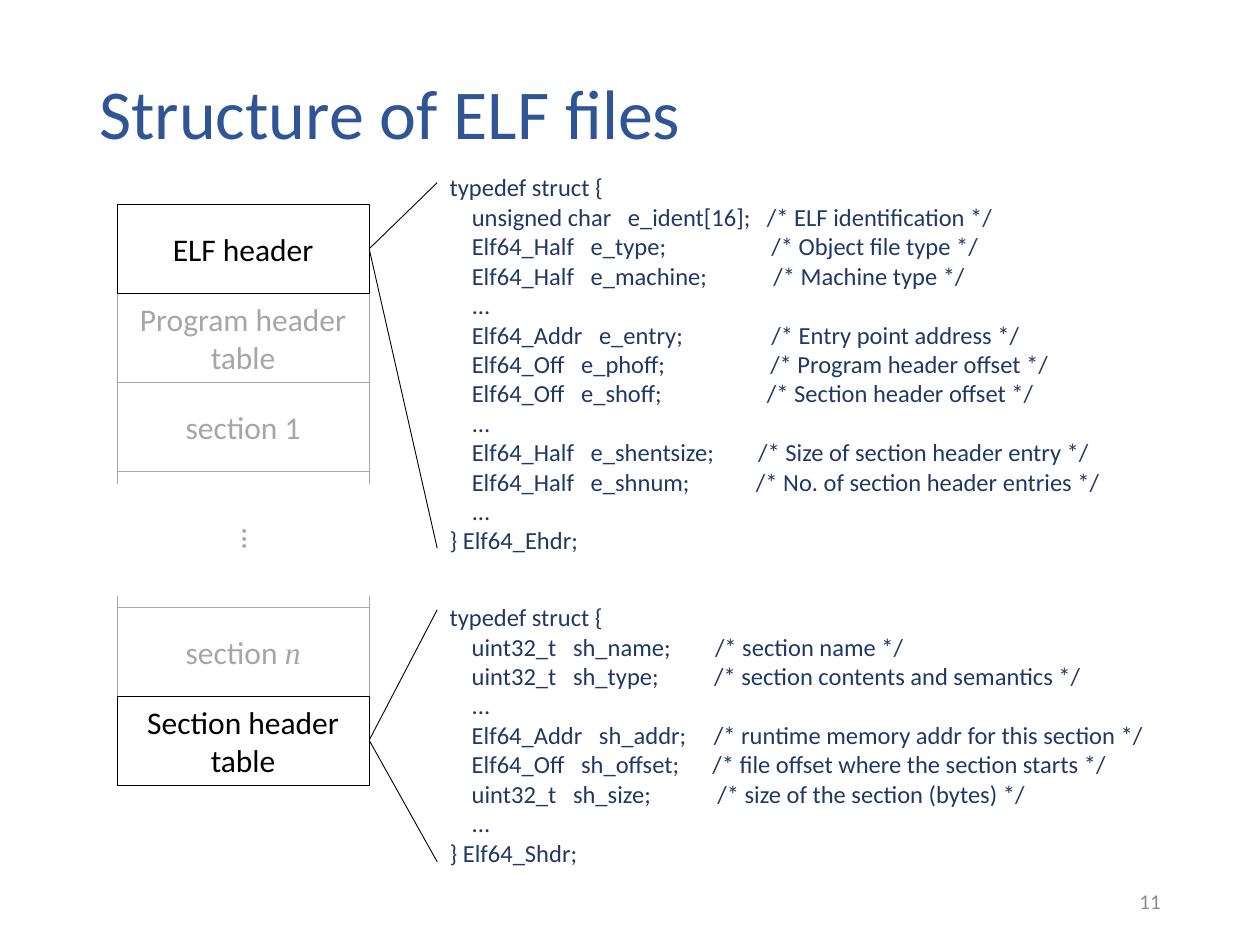
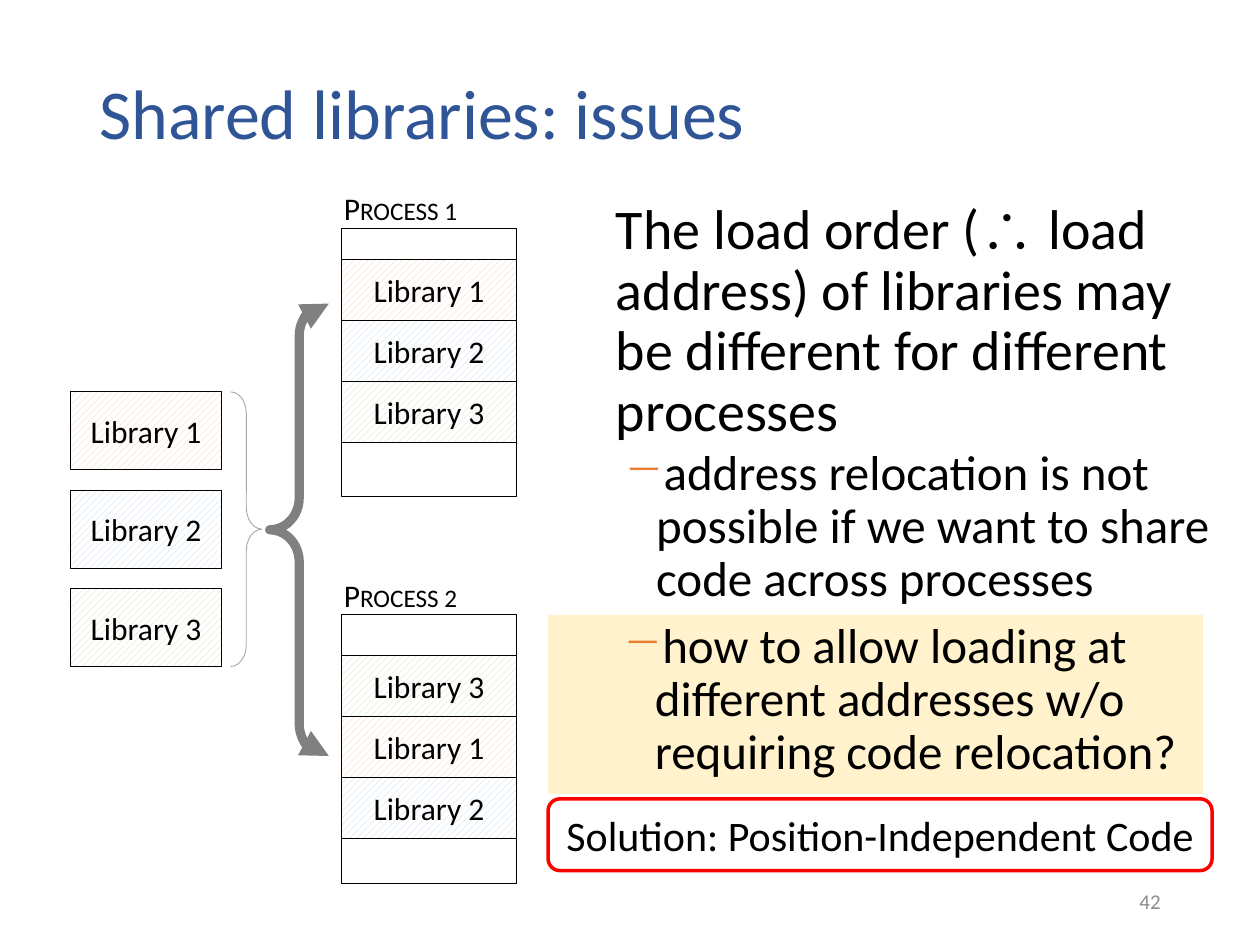
"""Build two slides on ELF file structure and shared library issues."""
from dataclasses import dataclass

from lxml import etree
from pptx import Presentation
from pptx.dml.color import RGBColor
from pptx.enum.dml import MSO_PATTERN
from pptx.enum.shapes import MSO_CONNECTOR, MSO_SHAPE
from pptx.enum.text import MSO_ANCHOR, MSO_AUTO_SIZE, PP_ALIGN
from pptx.oxml.ns import qn
from pptx.util import Emu, Pt

RECT, ROUND = MSO_SHAPE.RECTANGLE, MSO_SHAPE.ROUNDED_RECTANGLE
LEFT_BRACE, RIGHT_BRACE = MSO_SHAPE.LEFT_BRACE, MSO_SHAPE.RIGHT_BRACE
STRAIGHT = MSO_CONNECTOR.STRAIGHT
HATCH = MSO_PATTERN.WIDE_UPWARD_DIAGONAL
TOP, MIDDLE = MSO_ANCHOR.TOP, MSO_ANCHOR.MIDDLE
LEFT, CENTER, RIGHT = PP_ALIGN.LEFT, PP_ALIGN.CENTER, PP_ALIGN.RIGHT
GROW = MSO_AUTO_SIZE.SHAPE_TO_FIT_TEXT
SCALE = 4572


@dataclass(frozen=True)
class Theme:
    """Colours, fonts and type sizes of both slides."""
    face: str = "Calibri"
    serif: str = "Times New Roman"
    math: str = "Cambria"
    title: str = "2F5597"
    code: str = "203864"
    ink: str = "000000"
    dim: str = "A6A6A6"
    foot: str = "8C8C8C"
    arrow: str = "808080"
    dash: str = "ED7D31"
    cream: str = "FFF2CC"
    alert: str = "FF0000"
    libs: tuple = ("F8CBAD", "BDD7EE", "C5E0B4")
    title_pt: int = 40
    body_pt: int = 32
    point_pt: int = 28
    note_pt: int = 24
    label_pt: int = 18
    code_pt: int = 14
    foot_pt: int = 12
    hair: float = 0.5


T = Theme()

EHDR = """typedef struct {
    unsigned char   e_ident[16];   /* ELF identification */
    Elf64_Half   e_type;                   /* Object file type */
    Elf64_Half   e_machine;            /* Machine type */
    ...
    Elf64_Addr   e_entry;                /* Entry point address */
    Elf64_Off   e_phoff;                   /* Program header offset */
    Elf64_Off   e_shoff;                   /* Section header offset */
    ...
    Elf64_Half   e_shentsize;        /* Size of section header entry */
    Elf64_Half   e_shnum;            /* No. of section header entries */
    ...
} Elf64_Ehdr;"""

SHDR = """typedef struct {
    uint32_t   sh_name;        /* section name */
    uint32_t   sh_type;          /* section contents and semantics */
    ...
    Elf64_Addr   sh_addr;     /* runtime memory addr for this section */
    Elf64_Off   sh_offset;      /* file offset where the section starts */
    uint32_t   sh_size;            /* size of the section (bytes) */
    ...
} Elf64_Shdr;"""


def px(*sizes):
    """Turn px lengths into EMU."""
    return [Emu(size * SCALE) for size in sizes]


def rgb(code):
    """Turn a hex code into a colour."""
    return RGBColor.from_string(code)


def style(para, size, color, align=LEFT, lead=None):
    """Set the look of one paragraph."""
    para.alignment = align
    if lead:
        para.line_spacing = lead
    font = para.font
    font.name, font.size = T.face, Pt(size)
    font.color.rgb = rgb(color)


def dash(para):
    """Give a paragraph a hanging coloured dash."""
    props = para._p.get_or_add_pPr()
    indent, hang = px(150, -50)
    props.set("marL", str(indent))
    props.set("indent", str(hang))
    tint = etree.SubElement(props, qn("a:buClr"))
    etree.SubElement(tint, qn("a:srgbClr")).set("val", T.dash)
    etree.SubElement(props, qn("a:buChar")).set("char", "−")


def write(shape, text, size, color, align=LEFT, anchor=TOP, lead=None, point=False):
    """Fill a shape with text lines, or with (text, face) runs."""
    frame = shape.text_frame
    frame.word_wrap, frame.vertical_anchor = True, anchor
    lines = text.split("\n") if isinstance(text, str) else [text]
    for i, line in enumerate(lines):
        para = frame.add_paragraph() if i else frame.paragraphs[0]
        if point:
            dash(para)
        style(para, size, color, align, lead)
        runs = [(line, None)] if isinstance(line, str) else line
        for words, face in runs:
            run = para.add_run()
            run.text = words
            if face:
                run.font.name = face
                run.font.italic = face == T.serif


def label(slide, box, text, size, color, **look):
    """Add a text box."""
    shape = slide.shapes.add_textbox(*px(*box))
    write(shape, text, size, color, **look)
    return shape


def tag(slide, box, text, color):
    """Add a short label that sizes itself to its text."""
    shape = label(slide, box, text, T.label_pt, color)
    shape.text_frame.word_wrap = False
    shape.text_frame.auto_size = GROW
    return shape


def form(slide, kind, box, line=None, width=T.hair, fill=None):
    """Add a preset shape with a plain line and fill."""
    shape = slide.shapes.add_shape(kind, *px(*box))
    shape.shadow.inherit = False
    if fill:
        shape.fill.solid()
        shape.fill.fore_color.rgb = rgb(fill)
    else:
        shape.fill.background()
    if line:
        shape.line.color.rgb = rgb(line)
        shape.line.width = Pt(width)
    else:
        shape.line.fill.background()
    return shape


def cell(slide, box, text, color):
    """Add an outlined box with a centred label."""
    shape = form(slide, RECT, box, color)
    write(shape, text, T.label_pt, color, CENTER, MIDDLE)
    return shape


def lib(slide, box, num):
    """Add a hatched library box."""
    fill = cell(slide, box, f"Library {num}", T.ink).fill
    fill.patterned()
    fill.pattern = HATCH
    fill.fore_color.rgb = rgb(T.libs[num - 1])
    fill.back_color.rgb = rgb("FFFFFF")


def brace(slide, kind, box, bend, color, width):
    """Add a curly brace."""
    shape = form(slide, kind, box, color, width)
    shape.adjustments[0] = bend
    return shape


def rule(slide, start, end, color):
    """Add a thin straight line."""
    line = slide.shapes.add_connector(STRAIGHT, *px(*start, *end))
    line.line.color.rgb = rgb(color)
    line.line.width = Pt(T.hair)
    etree.SubElement(line._element.spPr, qn("a:effectLst"))


def page(deck, title, num):
    """Add a blank slide with its title and number."""
    slide = deck.slides.add_slide(deck.slide_layouts[6])
    label(slide, (138, 80, 1724, 210), title, T.title_pt, T.title,
          anchor=MIDDLE, lead=0.9)
    label(slide, (1412, 1390, 450, 80), str(num), T.foot_pt, T.foot,
          align=RIGHT, anchor=MIDDLE)
    return slide


def layout(deck):
    """Draw the file layout beside its two header structs."""
    slide = page(deck, "Structure of ELF files", 11)
    left, wide, high = 186, 400, 141
    right, tip = left + wide, 694
    head, tail = 325, 964
    cells = [
        (head + high, "Program header table", T.dim),
        (head + 2 * high, "section 1", T.dim),
        (tail, [("section ", None), ("n", T.serif)], T.dim),
        (head, "ELF header", T.ink),
        (tail + high, "Section header table", T.ink),
    ]
    for top, text, color in cells:
        cell(slide, (left, top, wide, high), text, color)
    for x in (left, right):
        for top in (head + 3 * high, tail - 18):
            rule(slide, (x, top), (x, top + 20), T.dim)
    tag(slide, (366, 816, 78, 80), "...", T.dim).rotation = 90

    structs = [
        (EHDR, (tip, 264, 1082, 632), head + high // 2, (290, 870)),
        (SHDR, (tip, 946, 1146, 444), tail + high * 3 // 2, (968, 1368)),
    ]
    for code, box, mid, ends in structs:
        label(slide, box, code, T.code_pt, T.code)
        for end in ends:
            rule(slide, (right, mid), (tip, end), T.ink)


def process(slide, num, top, first, order):
    """Draw one process with its libraries in load order."""
    left, wide, high = 542, 278, 97
    form(slide, RECT, (left, top, wide, 426), T.ink)
    for i, lib_num in enumerate(order):
        lib(slide, (left, first + i * high, wide, high), lib_num)
    name = tag(slide, (526, top - 72, 230, 80), f"Process {num}", T.ink)
    for run in name.text_frame.paragraphs[0].runs:
        run._r.get_or_add_rPr().set("cap", "small")


def issues(deck):
    """Draw libraries mapped into two processes, and the issues."""
    slide = page(deck, "Shared libraries: issues", 42)
    for i in range(3):
        lib(slide, (112, 622 + i * 156, 240, 124), i + 1)
    process(slide, 1, 362, 412, (1, 2, 3))
    process(slide, 2, 976, 1040, (3, 1, 2))

    brace(slide, RIGHT_BRACE, (366, 622, 50, 436), 0.68, T.dim, T.hair)
    fork = brace(slide, LEFT_BRACE, (428, 482, 94, 718), 0.54, T.arrow, 5.25)
    line = fork.line._get_or_add_ln()
    for end in ("a:headEnd", "a:tailEnd"):
        etree.SubElement(line, qn(end)).set("type", "triangle")

    label(slide, (958, 310, 984, 416),
          [("The load order (", None), ("∴", T.math),
           (" load address) of libraries may be different"
            " for different processes", None)],
          T.body_pt, T.ink, lead=0.9)
    label(slide, (872, 702, 1082, 284),
          "address relocation is not possible if we want to share"
          " code across processes",
          T.point_pt, T.ink, lead=0.9, point=True)
    write(form(slide, RECT, (870, 976, 1040, 284), fill=T.cream),
          "how to allow loading at different addresses w/o"
          " requiring code relocation?",
          T.point_pt, T.ink, lead=0.9, point=True)
    write(form(slide, ROUND, (870, 1268, 1054, 114), T.alert, 2),
          "Solution: Position-Independent Code",
          T.note_pt, T.ink, CENTER, MIDDLE)


def main():
    """Build and save the deck."""
    deck = Presentation()
    deck.slide_width, deck.slide_height = px(2000, 1500)
    layout(deck)
    issues(deck)
    deck.save("out.pptx")


if __name__ == "__main__":
    main()
